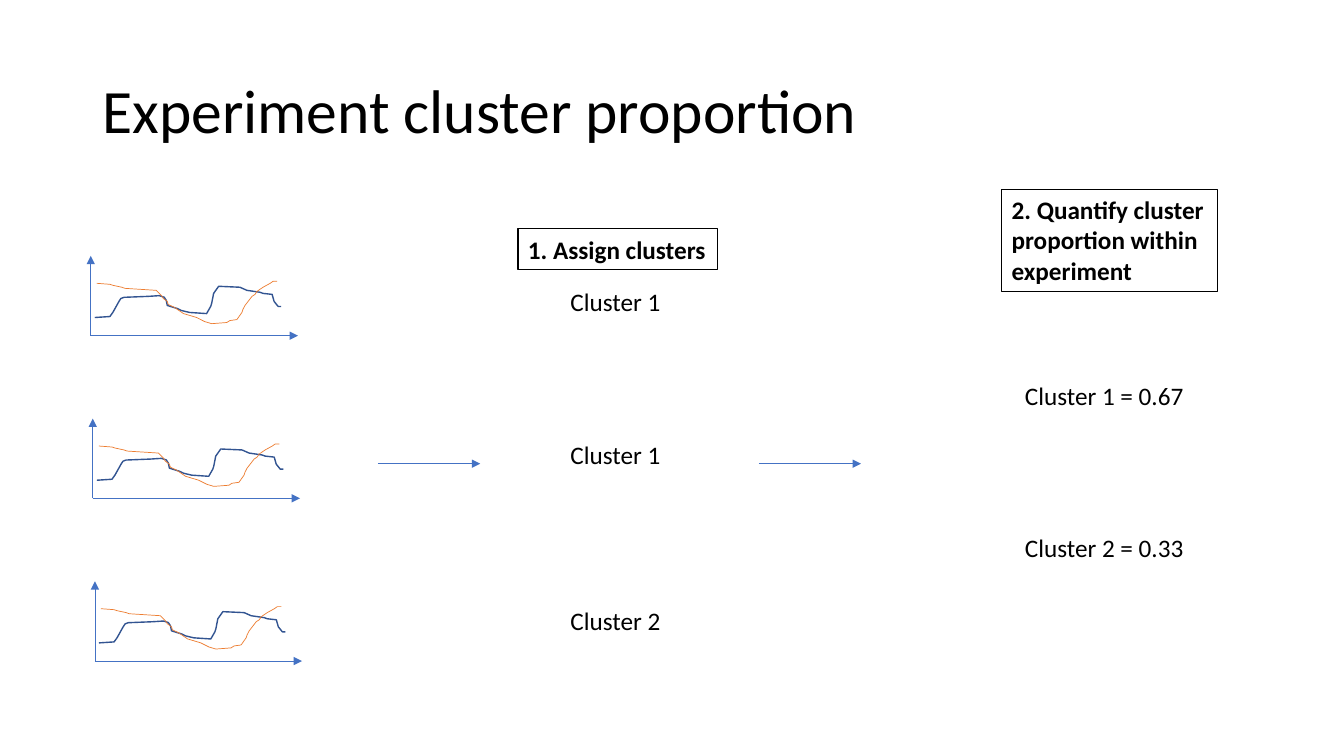
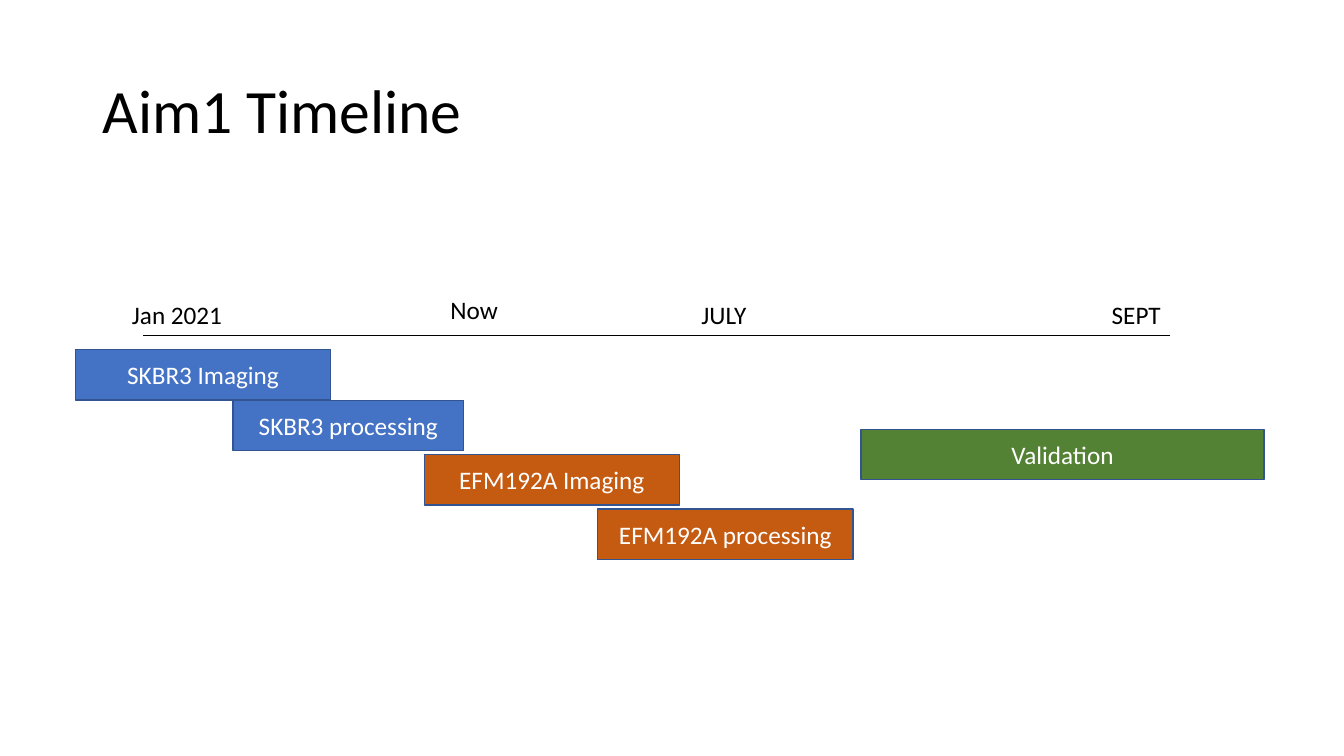
from dataclasses import dataclass

from lxml.etree import SubElement
from pptx import Presentation
from pptx.dml.color import RGBColor
from pptx.enum.shapes import MSO_CONNECTOR as Connector, MSO_SHAPE as Shape
from pptx.enum.text import MSO_ANCHOR as Anchor, MSO_AUTO_SIZE as AutoSize, PP_ALIGN as Align
from pptx.oxml.ns import qn
from pptx.util import Pt


@dataclass(frozen=True)
class Theme:
    font: str = "Calibri"
    ink: str = "000000"
    white: str = "FFFFFF"
    blue: str = "4472C4"
    navy: str = "325491"
    orange: str = "ED7D31"
    rust: str = "C55A11"
    green: str = "548235"
    title_size: int = 44
    text_size: int = 18
    thin: float = 0.5
    frame: float = 0.75
    edge: float = 1


THEME = Theme()

# Signal traces, in points right of and above the origin of the axes
BLUE_TRACE = [
    (2.9, 13), (13.7, 13.7), (15.8, 16.6), (20.2, 24.5), (21.6, 26.6), (23.8, 27.4),
    (41, 28.1), (49, 28.6), (52.5, 27.5), (54, 25.2), (54.7, 21.6), (61.9, 19.4),
    (64.8, 18), (70.6, 16.6), (82.8, 15.8), (85.7, 20.9), (86.4, 23), (87.8, 30.2),
    (91.4, 35.3), (106.6, 34.6), (111.6, 32.4), (121, 31), (123.1, 30.2),
    (129.6, 29.5), (131, 24.5), (133.9, 20.9), (136.1, 20.9),
]
ORANGE_TRACE = [
    (4.3, 37.4), (13.7, 36.7), (15.8, 36), (22.3, 34.6), (24.5, 33.8), (46.8, 32.4),
    (50.4, 28.8), (51.8, 26.6), (54.7, 24.5), (55.4, 22.3), (59.8, 20.2),
    (64.1, 17.3), (66.2, 15.8), (75.6, 13), (81.4, 10.1), (86.4, 8.6), (97.2, 9.4),
    (99.4, 10.8), (104.4, 11.5), (108, 16.6), (108.7, 18.7), (110.2, 21.6),
    (115.2, 28.1), (117.4, 29.5), (118.8, 31.7), (123.1, 34.6), (128.2, 37.4),
    (130.3, 38.9), (133.2, 38.9),
]


def apply_format(target, values):
    for name, value in values.items():
        setattr(target, name, value)


class Deck:
    """Holds the presentation, its style and the current slide."""

    def __init__(self, theme):
        self.theme = theme
        self.presentation = Presentation()
        apply_format(self.presentation, {"slide_width": Pt(960), "slide_height": Pt(540)})
        self.slide = None

    def new_slide(self, heading):
        layout = self.presentation.slide_layouts[5]
        self.slide = self.presentation.slides.add_slide(layout)
        title = self.slide.shapes.title
        apply_format(title, {"left": Pt(66), "top": Pt(28.8),
                             "width": Pt(828), "height": Pt(104.4)})
        apply_format(title.text_frame, {"auto_size": AutoSize.NONE, "word_wrap": True,
                                        "vertical_anchor": Anchor.MIDDLE})
        self.put_text(title, heading, size=self.theme.title_size)
        title.text_frame.paragraphs[0].line_spacing = 0.9

    def put_text(self, holder, words, size=None, color=None, bold=False, align=Align.LEFT):
        paragraph = holder.text_frame.paragraphs[0]
        paragraph.alignment = align
        run = paragraph.add_run()
        run.text = words
        apply_format(run.font, {"name": self.theme.font, "bold": bold,
                                "size": Pt(size or self.theme.text_size)})
        run.font.color.rgb = RGBColor.from_string(color or self.theme.ink)

    def outline(self, item, color, weight):
        item.line.color.rgb = RGBColor.from_string(color)
        item.line.width = Pt(weight)

    def label(self, words, left, top, width, height=29, wrap=False, framed=False):
        box = self.slide.shapes.add_textbox(Pt(left), Pt(top), Pt(width), Pt(height))
        apply_format(box.text_frame, {"word_wrap": wrap,
                                      "auto_size": AutoSize.SHAPE_TO_FIT_TEXT})
        self.put_text(box, words, bold=framed)
        if framed:
            self.outline(box, self.theme.ink, self.theme.frame)

    def bar(self, words, left, top, width, fill):
        bar = self.slide.shapes.add_shape(
            Shape.RECTANGLE, Pt(left), Pt(top), Pt(width), Pt(36))
        bar.shadow.inherit = False
        bar.fill.solid()
        bar.fill.fore_color.rgb = RGBColor.from_string(fill)
        self.outline(bar, self.theme.navy, self.theme.edge)
        bar.text_frame.vertical_anchor = Anchor.MIDDLE
        self.put_text(bar, words, color=self.theme.white, align=Align.CENTER)

    def line(self, start, end, color, arrow=False):
        line = self.slide.shapes.add_connector(
            Connector.STRAIGHT, *(Pt(value) for value in (*start, *end)))
        self.outline(line, color, self.theme.thin)
        properties = line.element.spPr
        if arrow:
            SubElement(properties.find(qn("a:ln")), qn("a:tailEnd"), type="triangle")
        SubElement(properties, qn("a:effectLst"))

    def trace(self, origin, points, color, weight):
        x, y = origin
        first, *rest = [(Pt(x + dx), Pt(y - dy)) for dx, dy in points]
        builder = self.slide.shapes.build_freeform(*first)
        builder.add_line_segments(rest, close=False)
        curve = builder.convert_to_shape()
        curve.shadow.inherit = False
        curve.fill.background()
        self.outline(curve, color, weight)

    def signal_plot(self, x, y):
        for end in ((x, y - 57), (x + 148, y)):
            self.line((x, y), end, self.theme.blue, arrow=True)
        self.trace((x, y), BLUE_TRACE, self.theme.navy, self.theme.edge)
        self.trace((x, y), ORANGE_TRACE, self.theme.orange, self.theme.thin)


def cluster_slide(deck):
    deck.new_slide("Experiment cluster proportion")

    # Signals of the three cells
    for row in range(3):
        deck.signal_plot(64.8 + 1.5 * row, 239.8 + 116.2 * row)

    # Arrows between the steps
    for left in (270, 542):
        deck.line((left, 331.2), (left + 73, 331.2), deck.theme.blue, arrow=True)

    # Step 1: assigned clusters
    deck.label("1. Assign clusters", 370, 163.5, 142.5, framed=True)
    for cluster, top in ((1, 201), (1, 310.5), (2, 429)):
        deck.label(f"Cluster {cluster}", 400.4, top, 79)

    # Step 2: proportions
    deck.label("2. Quantify cluster proportion within experiment",
               715.5, 135.4, 154, 72.7, wrap=True, framed=True)
    for cluster, share, top in ((1, 0.67, 267.8), (2, 0.33, 376.8)):
        deck.label(f"Cluster {cluster} = {share}", 725, top, 129)


def timeline_slide(deck):
    deck.new_slide("Aim1 Timeline")
    theme = deck.theme

    # Time axis and dates
    deck.line((836, 239.2), (102.2, 239.2), theme.ink)
    for date, left, top, width in (("Jan 2021", 87.2, 210.2, 80),
                                   ("Now", 314.6, 206.6, 49),
                                   ("JULY", 494, 210.2, 47),
                                   ("SEPT", 787, 210.2, 50)):
        deck.label(date, left, top, width)

    # Tasks
    for task, left, top, width, fill in (
            ("SKBR3 Imaging", 54, 249.8, 182.2, theme.blue),
            ("SKBR3 processing", 166.3, 286, 165, theme.blue),
            ("EFM192A Imaging", 303.1, 324.8, 182.2, theme.rust),
            ("EFM192A processing", 427, 363.7, 182.2, theme.rust),
            ("Validation", 615, 306.7, 288, theme.green)):
        deck.bar(task, left, top, width, fill)


def main():
    deck = Deck(THEME)
    cluster_slide(deck)
    timeline_slide(deck)
    deck.presentation.save("out.pptx")


if __name__ == "__main__":
    main()
